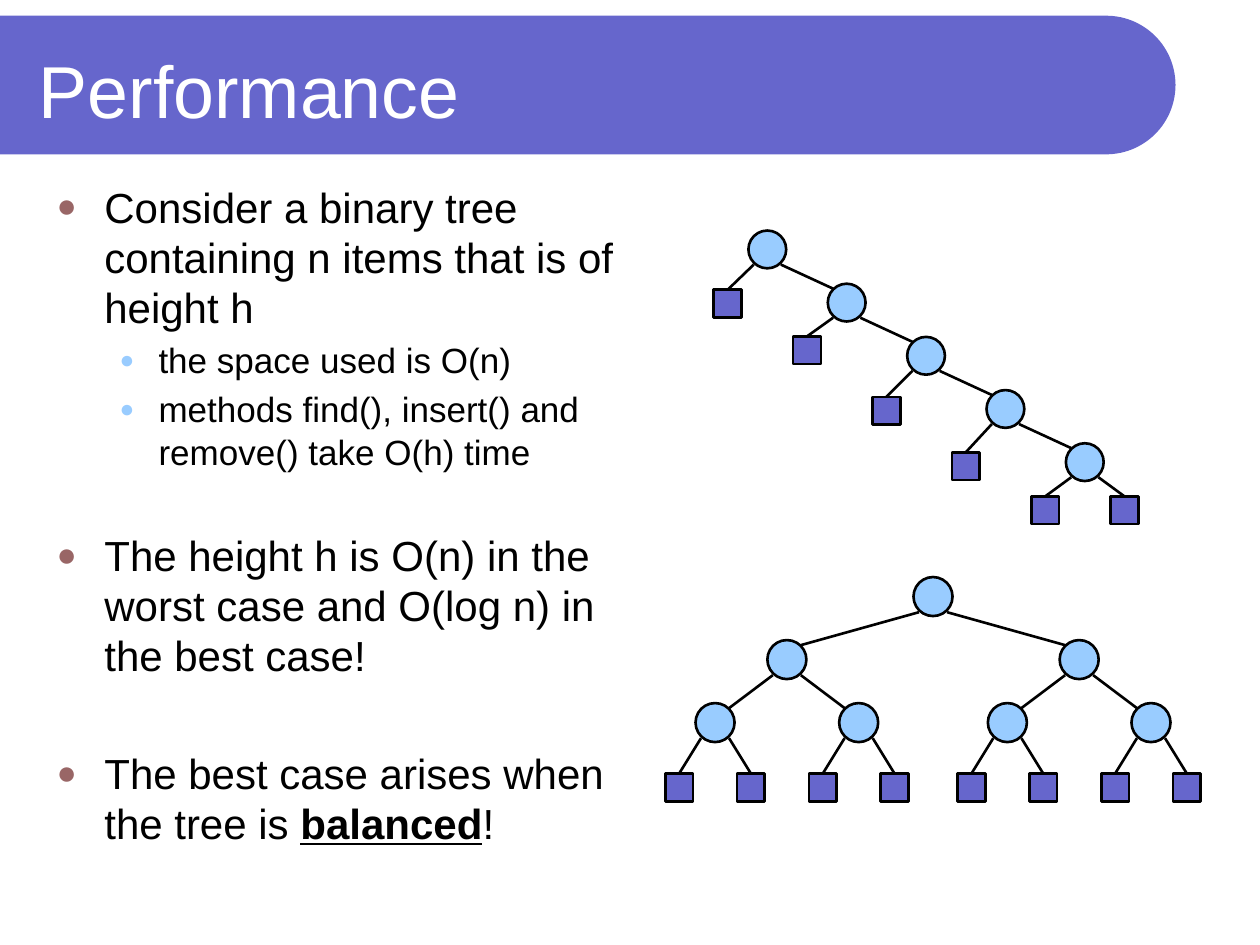
from math import cos, pi, sin

from lxml.etree import SubElement
from pptx import Presentation
from pptx.dml.color import RGBColor
from pptx.enum.shapes import MSO_CONNECTOR as Link, MSO_SHAPE as Shape
from pptx.enum.text import MSO_ANCHOR as Anchor
from pptx.oxml.ns import qn
from pptx.util import Inches, Pt

VIOLET, SKY, BROWN, BLACK, WHITE = "6666CC", "99CCFF", "996666", "000000", "FFFFFF"
hex_color = RGBColor.from_string

deck = Presentation()
deck.slide_width, deck.slide_height = Inches(10), Inches(7.5)
page = deck.slides.add_slide(deck.slide_layouts[6])
# The page is a grid of 100 columns and 75 rows.
COL, ROW = deck.slide_width / 100, deck.slide_height / 75


def add_span(para, words, size=24, color=BLACK, bold=False, underline=False):
    span = para.add_run()
    span.text = words
    span.font.name, span.font.size = "Arial", Pt(size)
    span.font.bold, span.font.underline = bold, underline
    span.font.color.rgb = hex_color(color)


def add_box(left, top, width, height, anchor):
    """Add a wrapping text box, placed in grid units, and return its frame."""
    box = page.shapes.add_textbox(
        int(left * COL), int(top * ROW), int(width * COL), int(height * ROW))
    box.text_frame.word_wrap = True
    box.text_frame.vertical_anchor = anchor
    return box.text_frame


# Title band with a half-round right end
band_middle, band_radius, band_straight = 6.75, 5.5, 87.8
arc = [(band_straight + band_radius * cos(angle), band_middle + band_radius * sin(angle))
       for angle in (pi * step / 60 - pi / 2 for step in range(61))]
outline = page.shapes.build_freeform(0, int((band_middle - band_radius) * ROW))
outline.add_line_segments(
    [(int(x * COL), int(y * ROW)) for x, y in arc + [(0, band_middle + band_radius)]])
band = outline.convert_to_shape()
band.shadow.inherit = False
band.fill.solid()
band.fill.fore_color.rgb = hex_color(VIOLET)
band.line.fill.background()

title = add_box(2.1, 2.1, 87.7, 10, Anchor.MIDDLE)
add_span(title.paragraphs[0], "Performance", size=42, color=WHITE)

# Bullets: level, space before, spans of (words, emphasised)
bullets = [
    (0, 0, [("Consider a binary tree containing n items that is of height h", False)]),
    (1, 4, [("the space used is O(n)", False)]),
    (1, 4, [("methods find(), insert() and remove() take O(h) time", False)]),
    (0, 33, [("The height h is O(n) in the worst case and O(log n) in the best case!", False)]),
    (0, 38.5, [("The best case arises when the tree is ", False), ("balanced", True), ("!", False)]),
]
# Per level: text size, line height, margin, hanging indent, bullet colour, bullet percent
levels = [(24, 28.7, 0.38, 0.38, BROWN, 80), (20, 24, 0.81, 0.31, SKY, 70)]
body = add_box(3.5, 13.9, 49.8, 57.5, Anchor.TOP)
for index, (level, space, spans) in enumerate(bullets):
    size, line_height, margin, hang, bullet_color, percent = levels[level]
    para = body.add_paragraph() if index else body.paragraphs[0]
    para.level = level
    para.space_before, para.line_spacing = Pt(space), Pt(line_height)
    props = para._p.get_or_add_pPr()
    props.set("marL", str(Inches(margin)))
    props.set("indent", str(-Inches(hang)))
    SubElement(SubElement(props, qn("a:buClr")), qn("a:srgbClr"), val=bullet_color)
    SubElement(props, qn("a:buSzPct"), val=str(percent * 1000))
    SubElement(props, qn("a:buFont"), typeface="Arial")
    SubElement(props, qn("a:buChar"), char="●")
    for words, strong in spans:
        add_span(para, words, size=size, bold=strong, underline=strong)

# Each tree node: centre x, centre y, diameter, parent index, is leaf
LEAF = 2.2
nodes = []

# Worst case: every inner node has one leaf and one inner child
step_x, step_y = 6.3, 4.22
leaf_centers = [24.1, 27.8, 32.6, 37, 40.5]
parent = None
for depth, leaf_y in enumerate(leaf_centers):
    x, y = 60.9 + depth * step_x, 19.8 + depth * step_y
    nodes.append((x, y, 3, parent, False))
    parent = len(nodes) - 1
    nodes.append((x - step_x / 2, leaf_y, LEAF, parent, True))
nodes.append((x + step_x / 2, leaf_y, LEAF, parent, True))

# Best case: every row is full
row = [len(nodes)]
nodes.append((74.05, 47.35, 3.1, None, False))
for spread, y, is_leaf in [(11.6, 52.35, False), (5.7, 57.35, False), (2.85, 62.5, True)]:
    children = []
    for parent in row:
        for side in (-1, 1):
            children.append(len(nodes))
            nodes.append((nodes[parent][0] + side * spread, y,
                          LEAF if is_leaf else 3.1, parent, is_leaf))
    row = children

for x, y, size, parent, is_leaf in nodes:
    node = page.shapes.add_shape(
        Shape.RECTANGLE if is_leaf else Shape.OVAL,
        int((x - size / 2) * COL), int((y - size / 2) * ROW), int(size * COL), int(size * ROW))
    node.shadow.inherit = False
    node.fill.solid()
    node.fill.fore_color.rgb = hex_color(VIOLET if is_leaf else SKY)
    node.line.color.rgb = hex_color(BLACK)
    node.line.width = Pt(1.5)
    if parent is None:
        continue
    # Branches leave and meet circles on their diagonals, and leaves at the top.
    parent_x, parent_y, parent_size = nodes[parent][:3]
    side = 1 if x > parent_x else -1
    end_x = x if is_leaf else x - side * size * 0.36
    end_y = y - size * (0.5 if is_leaf else 0.37)
    branch = page.shapes.add_connector(
        Link.STRAIGHT,
        int((parent_x + side * parent_size * 0.36) * COL), int((parent_y + parent_size * 0.4) * ROW),
        int(end_x * COL), int(end_y * ROW))
    if is_leaf:
        branch.end_connect(node, 0)
    branch.line.color.rgb = hex_color(BLACK)
    branch.line.width = Pt(1.5)
    SubElement(branch._element.spPr, qn("a:effectLst"))

deck.save("out.pptx")
